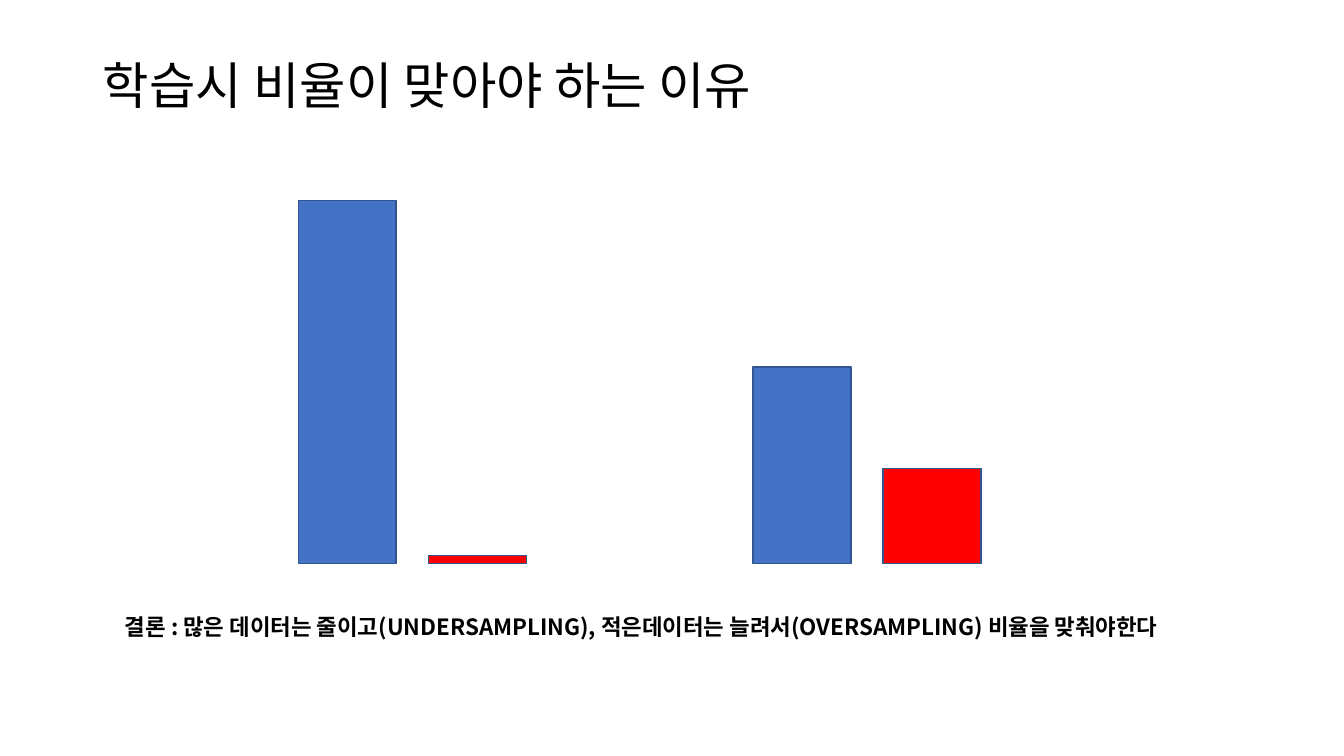
from dataclasses import dataclass

from lxml.etree import SubElement
from pptx import Presentation
from pptx.dml.color import RGBColor
from pptx.enum.shapes import MSO_SHAPE
from pptx.enum.text import MSO_ANCHOR, MSO_AUTO_SIZE, PP_ALIGN
from pptx.oxml.ns import qn
from pptx.util import Inches, Pt


@dataclass(frozen=True)
class Theme:
    font: str = "Noto Sans CJK KR"
    text: RGBColor = RGBColor(0x00, 0x00, 0x00)
    majority: RGBColor = RGBColor(0x44, 0x72, 0xC4)
    minority: RGBColor = RGBColor(0xFF, 0x00, 0x00)
    outline: RGBColor = RGBColor(0x32, 0x54, 0x91)
    title_size: int = 36
    conclusion_size: int = 16
    outline_width: int = 1


class SlideBuilder:
    def __init__(self, slide, theme):
        self.slide = slide
        self.theme = theme

    def format_text(self, text_frame, text, size, bold=False):
        text_frame.text = text
        text_frame.word_wrap = True
        paragraph = text_frame.paragraphs[0]
        paragraph.alignment = PP_ALIGN.LEFT
        for run in paragraph.runs:
            run.font.name = self.theme.font
            run.font.size = Pt(size)
            run.font.bold = bold
            run.font.color.rgb = self.theme.text
            east_asian = SubElement(run.font._element, qn("a:ea"))
            east_asian.set("typeface", self.theme.font)
        return paragraph

    def add_title(self, text, left, top, width, height):
        title = self.slide.shapes.title
        title.left, title.top = Inches(left), Inches(top)
        title.width, title.height = Inches(width), Inches(height)
        title.text_frame.auto_size = MSO_AUTO_SIZE.NONE
        title.text_frame.vertical_anchor = MSO_ANCHOR.MIDDLE
        paragraph = self.format_text(title.text_frame, text, self.theme.title_size)
        paragraph.line_spacing = 0.9

    def add_bar(self, left, baseline, width, height, color):
        bar = self.slide.shapes.add_shape(
            MSO_SHAPE.RECTANGLE, Inches(left), Inches(baseline - height),
            Inches(width), Inches(height))
        bar.shadow.inherit = False
        bar.fill.solid()
        bar.fill.fore_color.rgb = color
        bar.line.color.rgb = self.theme.outline
        bar.line.width = Pt(self.theme.outline_width)

    def add_conclusion(self, text, left, top, width, height):
        box = self.slide.shapes.add_textbox(
            Inches(left), Inches(top), Inches(width), Inches(height))
        self.format_text(box.text_frame, text, self.theme.conclusion_size, bold=True)
        box.text_frame.auto_size = MSO_AUTO_SIZE.SHAPE_TO_FIT_TEXT


BASELINE = 5.59
BAR_WIDTH = 0.97
BAR_STEP = 1.29
BAR_GROUPS = [(2.96, (3.6, 0.08)), (7.47, (1.95, 0.94))]

presentation = Presentation()
presentation.slide_width = Inches(13.33)
presentation.slide_height = Inches(7.5)
theme = Theme()
slide = presentation.slides.add_slide(presentation.slide_layouts.get_by_name("Title Only"))
builder = SlideBuilder(slide, theme)

builder.add_title("학습시 비율이 맞아야 하는 이유", 0.92, 0.4, 11.5, 0.94)
for group_left, heights in BAR_GROUPS:
    for index, (height, color) in enumerate(zip(heights, (theme.majority, theme.minority))):
        builder.add_bar(group_left + index * BAR_STEP, BASELINE, BAR_WIDTH, height, color)
builder.add_conclusion(
    "결론 : 많은 데이터는 줄이고(UNDERSAMPLING), "
    "적은데이터는 늘려서(OVERSAMPLING) 비율을 맞춰야한다",
    1.14, 6.03, 11.28, 0.37)

presentation.save("out.pptx")
